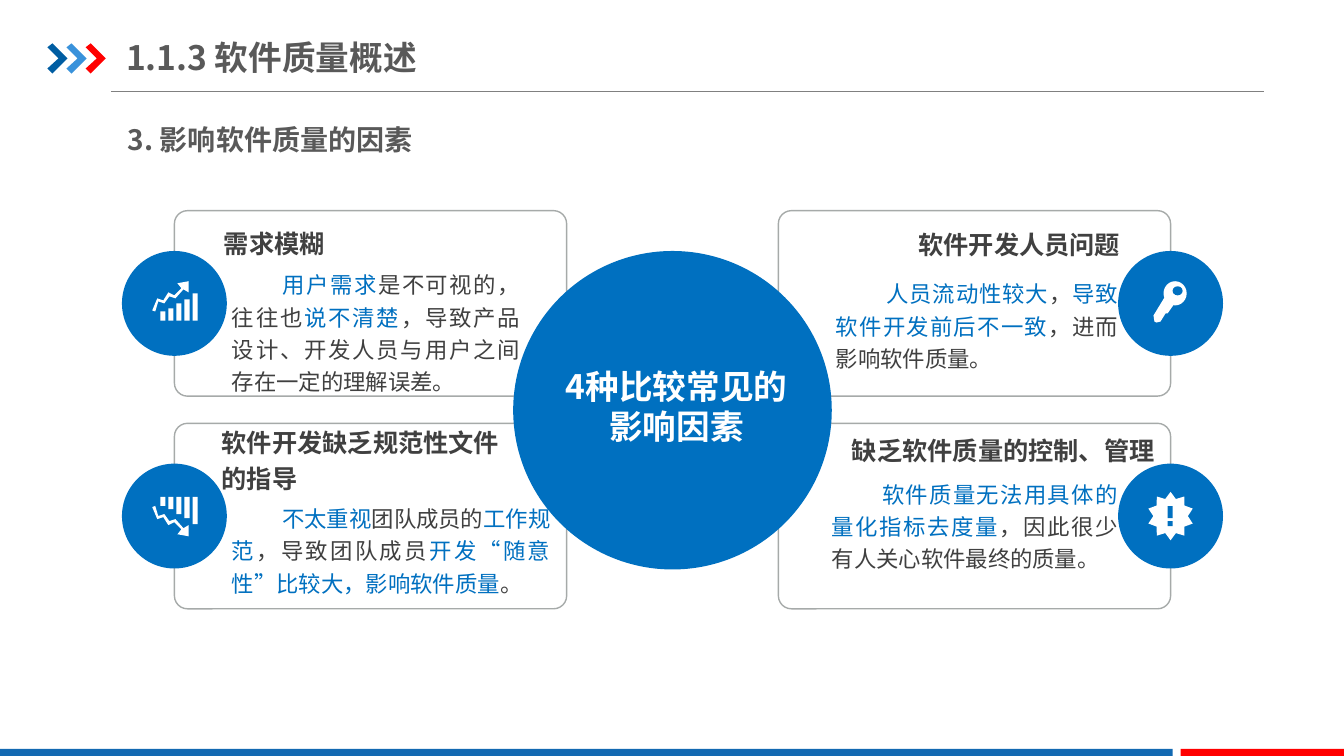
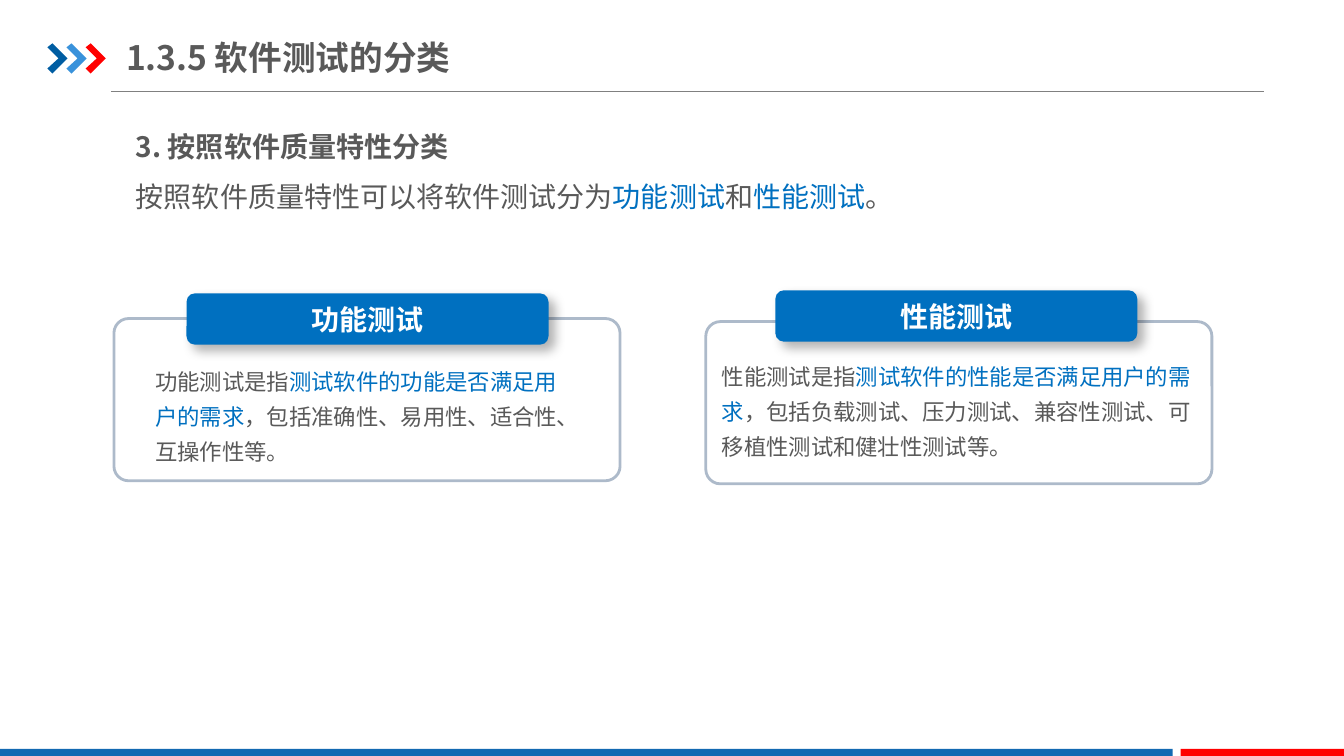
"""Build two slides on software quality factors and software test types."""
from dataclasses import dataclass

import lxml.etree
import pptx
import pptx.dml.color
import pptx.enum.shapes
import pptx.enum.text
import pptx.oxml.ns
import pptx.util

Inches = pptx.util.Inches
SHAPE = pptx.enum.shapes.MSO_SHAPE
ALIGN = pptx.enum.text.PP_ALIGN
ANCHOR = pptx.enum.text.MSO_ANCHOR
qn = pptx.oxml.ns.qn


@dataclass(frozen=True)
class Theme:
    """Colours, font and type sizes of the presentation."""
    font: str = "Noto Sans CJK SC"
    accent: str = "0070C0"
    white: str = "FFFFFF"
    dark: str = "404040"
    grey: str = "595959"
    rule: str = "808080"
    panel_line: str = "A6AAA9"
    card_line: str = "ADBACA"
    band: str = "1369B2"
    red: str = "FF0000"
    chevrons: tuple = ("005DA2", "3992DB", "FF0000")
    title_size: int = 24
    subtitle_size: int = 20
    heading_size: int = 18
    body_size: int = 16


THEME = Theme()
BODY = {"size": THEME.body_size, "color": THEME.dark}
HEADING = {"size": THEME.heading_size, "color": THEME.dark, "bold": True}
SUBTITLE = {"size": THEME.subtitle_size, "color": THEME.grey, "bold": True}
TITLE = {"size": THEME.title_size, "color": THEME.grey, "bold": True}
ON_ACCENT = {"color": THEME.white, "bold": True}
PANEL_SIZE = (3.89, 1.84)
CARD_SIZE = (5.02, 1.61)
TAB_SIZE = (3.59, 0.51)
BADGE = 1.04


def set_values(target, values):
    """Set each named attribute of the target."""
    for name, value in values.items():
        setattr(target, name, value)


def rgb(color):
    """Turn a hex string into a colour."""
    return pptx.dml.color.RGBColor.from_string(color)


def paint(shape, fill=None, line=None, width=1):
    """Give a shape its fill and outline, without a shadow."""
    shape.shadow.inherit = False
    if fill:
        shape.fill.solid()
        shape.fill.fore_color.rgb = rgb(fill)
    else:
        shape.fill.background()
    if line:
        shape.line.color.rgb = rgb(line)
        shape.line.width = pptx.util.Pt(width)
    else:
        shape.line.fill.background()
    return shape


def add_box(slide, kind, box, **style):
    """Add a painted preset shape."""
    return paint(slide.shapes.add_shape(kind, *map(Inches, box)), **style)


def add_outline(slide, left, top, contours, fill):
    """Add a filled freeform whose contours are relative to left and top."""
    placed = [[(Inches(left + x), Inches(top + y)) for x, y in contour]
              for contour in contours]
    builder = slide.shapes.build_freeform(*placed[0][0], scale=1.0)
    for number, contour in enumerate(placed):
        if number:
            builder.move_to(*contour[0])
        builder.add_line_segments(contour[1:], close=True)
    return paint(builder.convert_to_shape(), fill=fill)


def write_paragraph(paragraph, text, size, color, bold=False, indent=0, **layout):
    """Write text into a paragraph, with the parts between stars in the accent colour."""
    set_values(paragraph, layout)
    if indent:
        properties = paragraph._p.get_or_add_pPr()
        properties.set("marL", "0")
        properties.set("indent", str(Inches(indent)))
    for number, part in enumerate(text.split("*")):
        if not part:
            continue
        run = paragraph.add_run()
        run.text = part
        set_values(run.font, {"name": THEME.font, "size": pptx.util.Pt(size), "bold": bold})
        run.font.color.rgb = rgb(THEME.accent if number % 2 else color)
        east_asian = lxml.etree.SubElement(run._r.get_or_add_rPr(), qn("a:ea"))
        east_asian.set("typeface", THEME.font)


def format_frame(frame, margins=(0, 0), anchor=ANCHOR.TOP):
    """Set the wrapping, anchor and side and end margins of a text frame."""
    side, end = map(Inches, margins)
    set_values(frame, {
        "word_wrap": True, "auto_size": pptx.enum.text.MSO_AUTO_SIZE.NONE,
        "vertical_anchor": anchor, "margin_left": side, "margin_right": side,
        "margin_top": end, "margin_bottom": end})


def add_text(slide, box, text, margins=(0, 0), anchor=ANCHOR.TOP, **style):
    """Add a text box with one paragraph and return its frame."""
    frame = slide.shapes.add_textbox(*map(Inches, box)).text_frame
    format_frame(frame, margins, anchor)
    write_paragraph(frame.paragraphs[0], text, **style)
    return frame


def add_base_slide(presentation, title):
    """Add a slide with the shared title, rule, chevrons and bottom bands."""
    slide = presentation.slides.add_slide(presentation.slide_layouts[5])
    placeholder = slide.shapes.title
    set_values(placeholder, dict(zip(
        ("left", "top", "width", "height"), map(Inches, (1.25, 0.29, 4.26, 0.55)))))
    format_frame(placeholder.text_frame, (0, 0.07), ANCHOR.MIDDLE)
    write_paragraph(placeholder.text_frame.paragraphs[0], title,
                    alignment=ALIGN.LEFT, **TITLE)
    rule = slide.shapes.add_connector(
        pptx.enum.shapes.MSO_CONNECTOR.STRAIGHT, *map(Inches, (1.1, 0.91, 12.54, 0.91)))
    rule.line.color.rgb = rgb(THEME.rule)
    rule.line.width = pptx.util.Pt(0.75)
    lxml.etree.SubElement(rule._element.spPr, qn("a:effectLst"))
    chevron = [(0, 0.04), (0.05, 0), (0.2, 0.15), (0.05, 0.3), (0, 0.25), (0.11, 0.15)]
    for number, color in enumerate(THEME.chevrons):
        add_outline(slide, 0.47 + 0.19 * number, 0.43, [chevron], color)
    for left, width, color in ((0, 11.63, THEME.band), (11.71, 1.63, THEME.red)):
        add_box(slide, SHAPE.RECTANGLE, (left, 7.43, width, 0.09), fill=color)
    return slide


def draw_trend(slide, left, top, falling=False):
    """Draw a bar chart icon with a trend arrow inside a badge."""
    height = 0.39
    arrow = [(0.17, 0.15), (0.23, 0.17), (0.31, 0.08), (0.36, 0.11), (0.36, 0),
             (0.25, 0.02), (0.29, 0.07), (0.22, 0.14), (0.16, 0.11), (0.11, 0.19),
             (0.05, 0.17), (0, 0.29), (0.03, 0.3), (0.06, 0.2), (0.12, 0.22)]
    contours = [arrow]
    for number, bar_top in enumerate((0.3, 0.27, 0.22, 0.18, 0.12)):
        start = 0.08 + 0.08 * number
        end = start + 0.05
        contours.append([(start, bar_top), (end, bar_top), (end, height), (start, height)])
    if falling:
        contours = [[(x, height - y) for x, y in contour] for contour in contours]
    add_outline(slide, left + 0.3, top + (0.33 if falling else 0.3), contours, THEME.white)


def draw_fall(slide, left, top):
    """Draw the falling trend icon."""
    draw_trend(slide, left, top, falling=True)


def draw_key(slide, left, top):
    """Draw a key icon inside a badge."""
    shank = [(0.46, 0.46), (0.35, 0.64), (0.36, 0.7), (0.38, 0.71), (0.42, 0.7),
             (0.47, 0.62), (0.49, 0.62), (0.56, 0.52)]
    add_outline(slide, left, top, [shank], THEME.white)
    add_box(slide, SHAPE.OVAL, (left + 0.45, top + 0.3, 0.23, 0.24), fill=THEME.white)
    add_box(slide, SHAPE.OVAL, (left + 0.54, top + 0.35, 0.1, 0.09), fill=THEME.accent)


def draw_alert(slide, left, top):
    """Draw a burst with an exclamation mark inside a badge."""
    burst = add_box(slide, SHAPE.STAR_10_POINT, (left + 0.3, top + 0.28, 0.44, 0.48),
                    fill=THEME.white)
    burst.adjustments[0] = 0.37
    for offset, height in ((0.42, 0.12), (0.57, 0.05)):
        add_box(slide, SHAPE.RECTANGLE, (left + 0.49, top + offset, 0.05, height),
                fill=THEME.accent)


FACTORS = [
    {"origin": (1.73, 2.09), "right": False, "icon": draw_trend,
     "heading": "需求模糊", "heading_box": (0.49, 0.08, 2.04, 0.44),
     "body": "*用户需求*是不可视的，往往也*说不清楚*，导致产品设计、开发人员与用户之间存在一定的理解误差。",
     "body_box": (0.57, 0.55, 2.86, 1.25)},
    {"origin": (1.73, 4.2), "right": False, "icon": draw_fall,
     "heading": "软件开发缺乏规范性文件的指导", "heading_box": (0.47, 0.09, 2.77, 0.5),
     "body": "*不太重视*团队成员的*工作规范*，导致团队成员*开发“随意性”比较大，影响软件质量*。",
     "body_box": (0.57, 0.76, 3.16, 0.92)},
    {"origin": (7.72, 2.09), "right": True, "icon": draw_key,
     "heading": "软件开发人员问题", "heading_box": (1.35, 0.12, 2.04, 0.44),
     "body": "*人员流动性较大*，*导致软件开发前后不一致*，进而影响软件质量。",
     "body_box": (0.57, 0.64, 2.8, 0.98)},
    {"origin": (7.72, 4.2), "right": True, "icon": draw_alert,
     "heading": "缺乏软件质量的控制、管理", "heading_box": (0.71, 0.05, 3.02, 0.44),
     "body": "*软件质量无法用具体的量化指标去度量*，因此很少有人关心软件最终的质量。",
     "body_box": (0.53, 0.52, 2.84, 1.24)},
]
CARDS = [
    {"origin": (1.13, 3.16), "tab": "功能测试", "tab_offset": (0.72, -0.25),
     "body": "功能测试是指*测试软件的功能是否满足用户的需求*，包括准确性、易用性、适合性、互操作性等。",
     "body_box": (0.31, 0.36, 4.4, 1.15)},
    {"origin": (7, 3.19), "tab": "性能测试", "tab_offset": (0.69, -0.31),
     "body": "性能测试是指*测试软件的性能是否满足用户的需求*，包括负载测试、压力测试、兼容性测试、可移植性测试和健壮性测试等。",
     "body_box": (0.06, 0.28, 5.01, 1.15)},
]


def shift(origin, box):
    """Move a relative box to its origin."""
    return (origin[0] + box[0], origin[1] + box[1], *box[2:])


def add_factor(slide, factor):
    """Add the heading, body and badge of one panel."""
    origin, right = factor["origin"], factor["right"]
    add_text(slide, shift(origin, factor["body_box"]), factor["body"], indent=0.5,
             alignment=ALIGN.JUSTIFY, line_spacing=1.2, **BODY)
    add_text(slide, shift(origin, factor["heading_box"]), factor["heading"],
             anchor=ANCHOR.MIDDLE, alignment=ALIGN.RIGHT if right else ALIGN.LEFT,
             line_spacing=1.0 if right else 1.2, **HEADING)
    left = origin[0] + (PANEL_SIZE[0] if right else 0) - BADGE / 2
    top = origin[1] + (PANEL_SIZE[1] - BADGE) / 2
    add_box(slide, SHAPE.OVAL, (left, top, BADGE, BADGE), fill=THEME.accent)
    factor["icon"](slide, left, top)


def add_card(slide, card):
    """Add a framed card with a raised tab."""
    origin = card["origin"]
    frame = add_box(slide, SHAPE.ROUNDED_RECTANGLE, (*origin, *CARD_SIZE),
                    line=THEME.card_line, width=2)
    frame.adjustments[0] = 0.09
    tab = add_box(slide, SHAPE.ROUNDED_RECTANGLE,
                  shift(origin, (*card["tab_offset"], *TAB_SIZE)), fill=THEME.accent)
    effects = tab._element.spPr.find(qn("a:effectLst"))
    shadow = lxml.etree.SubElement(effects, qn("a:outerShdw"), {
        "blurRad": str(pptx.util.Pt(8)), "dist": str(pptx.util.Pt(6)),
        "dir": "2700000", "algn": "tl", "rotWithShape": "0"})
    color = lxml.etree.SubElement(shadow, qn("a:srgbClr"), val="000000")
    lxml.etree.SubElement(color, qn("a:alpha"), val="30000")
    format_frame(tab.text_frame, anchor=ANCHOR.MIDDLE)
    write_paragraph(tab.text_frame.paragraphs[0], card["tab"], alignment=ALIGN.CENTER,
                    size=THEME.subtitle_size, **ON_ACCENT)
    add_text(slide, shift(origin, card["body_box"]), card["body"], (0.1, 0.05),
             line_spacing=1.3, size=THEME.body_size, color=THEME.grey)


def add_factors_slide(presentation):
    """Add the slide with four factors around a circle."""
    slide = add_base_slide(presentation, "1.1.3 软件质量概述")
    add_text(slide, (1.17, 1, 10.99, 0.68), "3. 影响软件质量的因素", (0.1, 0.05),
             line_spacing=1.5, **SUBTITLE)
    for factor in FACTORS:
        panel = add_box(slide, SHAPE.ROUNDED_RECTANGLE, (*factor["origin"], *PANEL_SIZE),
                        line=THEME.panel_line)
        panel.adjustments[0] = 0.07
    add_box(slide, SHAPE.OVAL, (5.09, 2.49, 3.16, 3.16), fill=THEME.accent)
    for factor in FACTORS:
        add_factor(slide, factor)
    add_text(slide, (5.53, 3.53, 2.36, 0.99), "4种比较常见的影响因素", anchor=ANCHOR.MIDDLE,
             alignment=ALIGN.CENTER, size=THEME.title_size, **ON_ACCENT)


def add_types_slide(presentation):
    """Add the slide with two test types."""
    slide = add_base_slide(presentation, "1.3.5 软件测试的分类")
    frame = add_text(slide, (1.25, 1.07, 11, 1.24), "3. 按照软件质量特性分类", (0.1, 0.05),
                     line_spacing=1.5, **SUBTITLE)
    write_paragraph(frame.add_paragraph(),
                    "按照软件质量特性可以将软件测试分为*功能测试*和*性能测试*。",
                    line_spacing=1.5, size=THEME.subtitle_size, color=THEME.grey)
    for card in CARDS:
        add_card(slide, card)


def main():
    """Build and save the presentation."""
    presentation = pptx.Presentation()
    set_values(presentation, {"slide_width": Inches(13.33), "slide_height": Inches(7.5)})
    add_factors_slide(presentation)
    add_types_slide(presentation)
    presentation.save("out.pptx")


if __name__ == "__main__":
    main()
